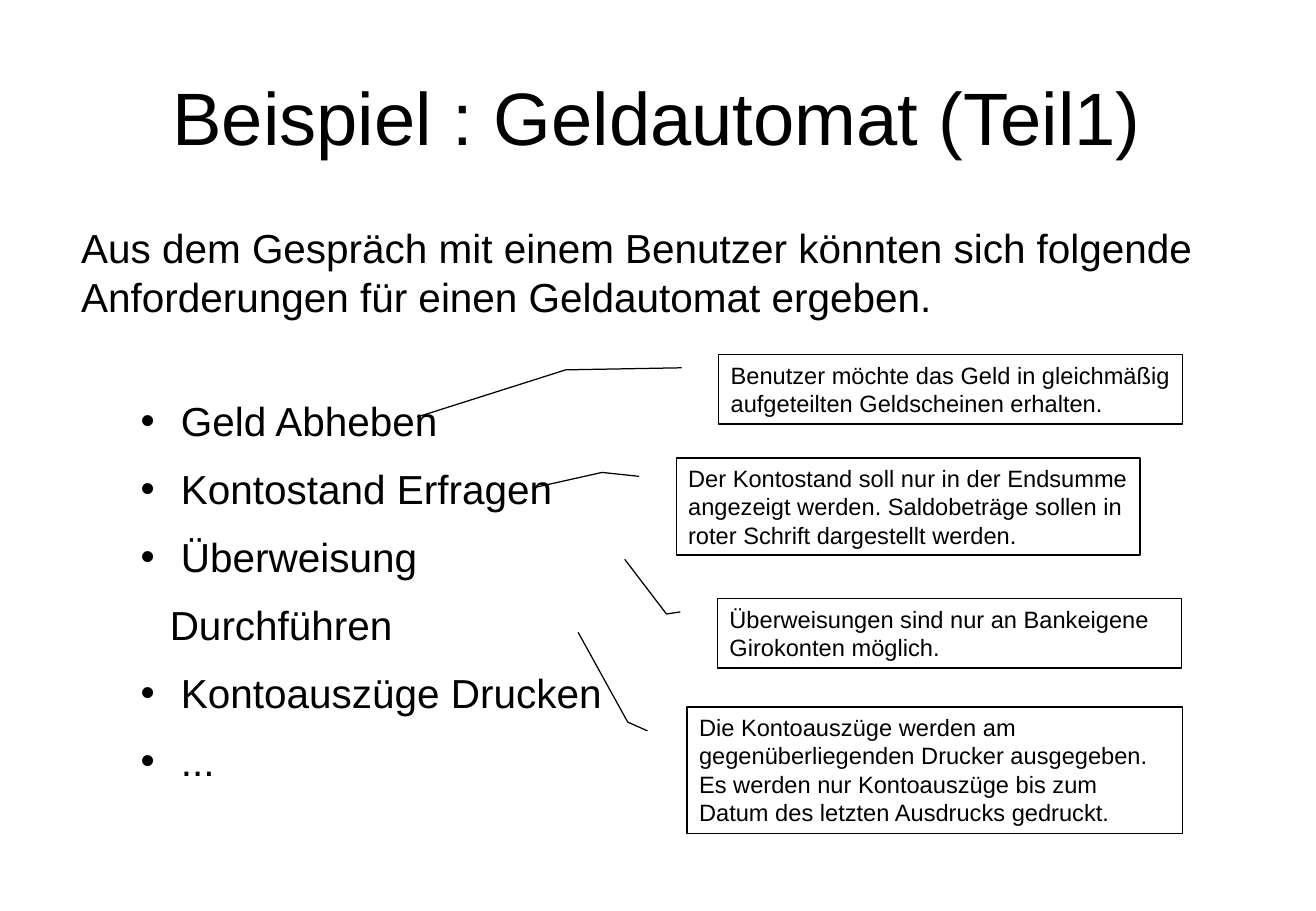
from dataclasses import dataclass

from lxml import etree
from pptx import Presentation
from pptx.dml.color import RGBColor
from pptx.enum.shapes import MSO_SHAPE
from pptx.enum.text import MSO_ANCHOR, PP_ALIGN
from pptx.oxml.ns import qn
from pptx.slide import Slide
from pptx.text.text import TextFrame
from pptx.util import Inches, Pt

CALLOUT = MSO_SHAPE.LINE_CALLOUT_2
TOP, MIDDLE = MSO_ANCHOR.TOP, MSO_ANCHOR.MIDDLE
LEFT, CENTER = PP_ALIGN.LEFT, PP_ALIGN.CENTER


@dataclass(frozen=True)
class Theme:
    font: str = "Arial"
    ink: RGBColor = RGBColor(0, 0, 0)
    title: float = 44
    body: float = 24
    note: float = 14
    line: float = 0.75


@dataclass(frozen=True)
class Block:
    box: tuple[float, float, float, float]
    lines: tuple[str, ...]
    size: float
    frame: dict
    para: dict
    bullet: bool = False


@dataclass(frozen=True)
class Note:
    box: tuple[float, float, float, float]
    text: str
    bends: tuple[float, ...]


THEME = Theme()
INDENT = Inches(0.24)
STEM = (0.19, -0.08)

BLOCKS = (
    Block((0, 0.33, 10.83, 1.25), ("Beispiel : Geldautomat (Teil1)",), THEME.title,
          {"word_wrap": True, "vertical_anchor": MIDDLE}, {"alignment": CENTER}),
    Block((0.57, 1.79, 9.35, 0.9),
          ("Aus dem Gespräch mit einem Benutzer könnten sich folgende",
           "Anforderungen für einen Geldautomat ergeben."), THEME.body,
          {"word_wrap": False, "vertical_anchor": TOP}, {"alignment": LEFT}),
    Block((1.06, 3.05, 4.28, 2.9),
          (" Geld Abheben", " Kontostand Erfragen", " Überweisung Durchführen",
           " Kontoauszüge Drucken", " ..."), THEME.body,
          {"word_wrap": True, "vertical_anchor": TOP},
          {"alignment": LEFT, "line_spacing": 1.4}, True),
)

NOTES = (
    Note((5.92, 2.92, 3.82, 0.57),
         "Benutzer möchte das Geld in gleichmäßig aufgeteilten Geldscheinen erhalten.",
         (0.22, -0.33, 0.9, -0.65)),
    Note((5.57, 3.77, 3.82, 0.8),
         "Der Kontostand soll nur in der Endsumme angezeigt werden. "
         "Saldobeträge sollen in roter Schrift dargestellt werden.",
         (0.15, -0.16, 0.31, -0.31)),
    Note((5.91, 4.93, 3.82, 0.57),
         "Überweisungen sind nur an Bankeigene Girokonten möglich.",
         (0.22, -0.11, -0.57, -0.2)),
    Note((5.66, 5.82, 4.08, 1.04),
         "Die Kontoauszüge werden am gegenüberliegenden Drucker ausgegeben. "
         "Es werden nur Kontoauszüge bis zum Datum des letzten Ausdrucks gedruckt.",
         (0.12, -0.12, -0.59, -0.22)),
)


def apply(target: object, values: dict) -> None:
    for name, value in values.items():
        setattr(target, name, value)


def write(frame: TextFrame, block: Block) -> None:
    apply(frame, block.frame)
    for index, line in enumerate(block.lines):
        para = frame.add_paragraph() if index else frame.paragraphs[0]
        apply(para, block.para)
        run = para.add_run()
        run.text = line
        apply(run.font, {"name": THEME.font, "size": Pt(block.size)})
        run.font.color.rgb = THEME.ink
        if block.bullet:
            props = para._p.get_or_add_pPr()
            props.set("marL", str(INDENT))
            props.set("indent", str(-INDENT))
            etree.SubElement(props, qn("a:buFont"), typeface=THEME.font)
            etree.SubElement(props, qn("a:buChar"), char="•")


def draw_block(slide: Slide, block: Block) -> None:
    shape = slide.shapes.add_textbox(*map(Inches, block.box))
    write(shape.text_frame, block)


def draw_note(slide: Slide, note: Note) -> None:
    shape = slide.shapes.add_shape(CALLOUT, *map(Inches, note.box))
    shape.shadow.inherit = False
    shape.fill.background()
    shape.line.color.rgb = THEME.ink
    shape.line.width = Pt(THEME.line)
    for index, value in enumerate(STEM + note.bends):
        shape.adjustments[index] = value
    write(shape.text_frame, Block(note.box, (note.text,), THEME.note,
                                  {"word_wrap": True, "vertical_anchor": TOP},
                                  {"alignment": LEFT}))


def main() -> None:
    deck = Presentation()
    apply(deck, {"slide_width": Inches(10.84), "slide_height": Inches(7.5)})
    slide = deck.slides.add_slide(deck.slide_layouts[6])
    for block in BLOCKS:
        draw_block(slide, block)
    for note in NOTES:
        draw_note(slide, note)
    deck.save("out.pptx")


if __name__ == "__main__":
    main()
